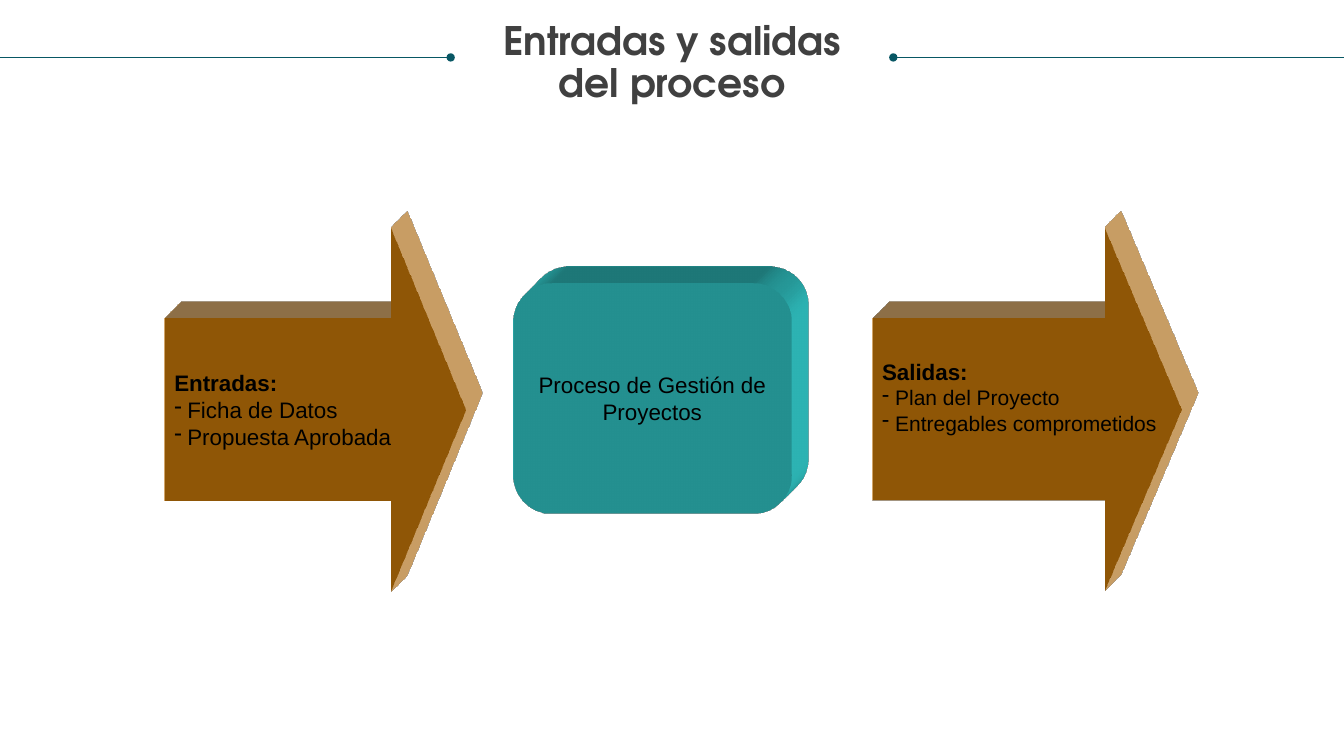
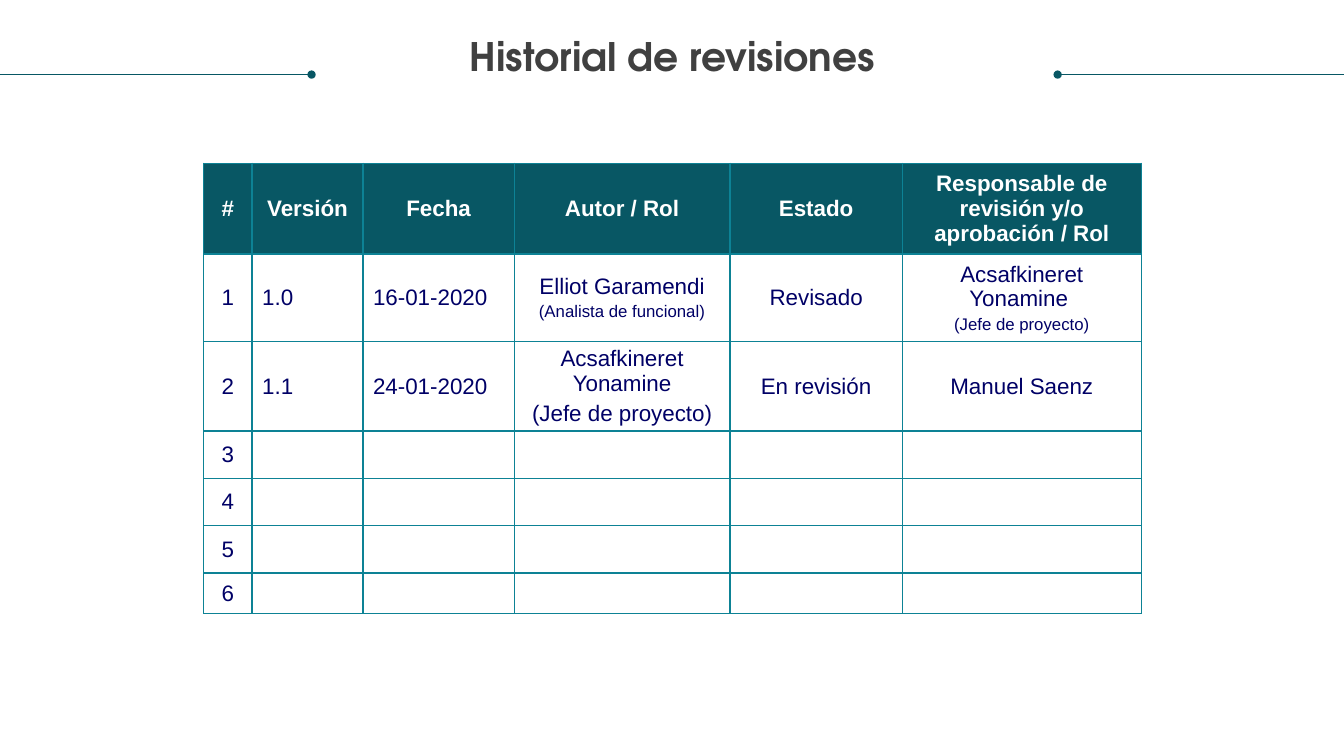
from lxml import etree
from pptx import Presentation
from pptx import util as u
from pptx.dml import color
from pptx.enum import shapes, text
from pptx.oxml import ns, parse_xml

TEAL, GREY, BLACK, WHITE, NAVY = "085764", "404040", "000000", "FFFFFF", "000066"
BORDER, BROWN, SAND, AQUA = "0D8295", "CB7A09", "F0BD78", "33CCCC"
BODY_FONT, TITLE_FONT = "Arial", "TeX Gyre Adventor"
CENTER, LEFT = text.PP_ALIGN.CENTER, text.PP_ALIGN.LEFT
SLIDE_WIDTH = 13.33

COLUMN_WIDTHS = [0.48, 1.1, 1.5, 2.14, 1.71, 2.37]
ROW_HEIGHTS = [0.9, 0.87, 0.88, 0.47, 0.47, 0.47, 0.39]
HEADINGS = ["#", "Versión", "Fecha", "Autor / Rol", "Estado",
            "Responsable de revisión y/o aprobación / Rol"]
# Each line of a cell is a (text, size) pair or plain text at 16 points.
REVISIONS = [
    ["1", "1.0", "16-01-2020",
     ["Elliot Garamendi", ("(Analista de funcional)", 12)], "Revisado",
     ["Acsafkineret Yonamine ", ("(Jefe de proyecto)", 12)]],
    ["2", "1.1", "24-01-2020",
     ["Acsafkineret Yonamine", "(Jefe de proyecto)"], "En revisión",
     "Manuel Saenz"],
    ["3"], ["4"], ["5"], ["6"],
]
LEFT_COLUMNS = (1, 2)


def rgb(value):
    """Turn a hex string into a colour."""
    return color.RGBColor.from_string(value)


def child(parent, tag, **attributes):
    """Append a DrawingML element to a parent."""
    return etree.SubElement(parent, ns.qn(tag), attributes)


def add_run(paragraph, words, size, shade, bold=False, font=BODY_FONT):
    """Add one formatted run."""
    run = paragraph.add_run()
    run.text = words
    run.font.size = u.Pt(size)
    run.font.name = font
    run.font.bold = bold
    run.font.color.rgb = rgb(shade)


def paragraph_at(frame, index):
    """Return the first paragraph, or add a further one."""
    return frame.add_paragraph() if index else frame.paragraphs[0]


def add_title(slide, lines, top, height):
    """Place and format the title placeholder."""
    title = slide.shapes.title
    title.left, title.top = u.Inches(0.25), u.Inches(top)
    title.width, title.height = u.Inches(12.83), u.Inches(height)
    frame = title.text_frame
    frame.auto_size = text.MSO_AUTO_SIZE.NONE
    frame.word_wrap = True
    frame.vertical_anchor = text.MSO_ANCHOR.TOP
    frame.margin_left = frame.margin_right = 0
    frame.margin_top = frame.margin_bottom = 0
    for index, line in enumerate(lines):
        paragraph = paragraph_at(frame, index)
        paragraph.alignment = CENTER
        paragraph.line_spacing = 0.9
        add_run(paragraph, line, 28, GREY, True, TITLE_FONT)


def add_rule(slide, edge, dot, top):
    """Draw a line from the slide edge to a round dot."""
    rule = slide.shapes.add_connector(
        shapes.MSO_CONNECTOR.STRAIGHT,
        u.Inches(edge), u.Inches(top), u.Inches(dot), u.Inches(top))
    rule.line.color.rgb = rgb(TEAL)
    rule.line.width = u.Pt(0.5)
    child(rule.line._get_or_add_ln(), "a:tailEnd", type="oval")
    child(rule._element.spPr, "a:effectLst")


def add_slide(presentation, lines, title_top, title_height, rule_top, dots):
    """Add a slide with its title and the two rules beside it."""
    slide = presentation.slides.add_slide(presentation.slide_layouts[5])
    add_title(slide, lines, title_top, title_height)
    for edge, dot in zip((0, SLIDE_WIDTH), dots):
        add_rule(slide, edge, dot, rule_top)
    return slide


def extrude(shape, side):
    """Give a shape an oblique depth towards the top right."""
    properties = shape._element.spPr
    properties.append(parse_xml(
        f'<a:scene3d {ns.nsdecls("a")}>'
        '<a:camera prst="legacyObliqueTopRight"/>'
        '<a:lightRig rig="legacyFlat3" dir="b"/></a:scene3d>'))
    properties.append(parse_xml(
        f'<a:sp3d {ns.nsdecls("a")} extrusionH="430200" prstMaterial="legacyMatte">'
        '<a:bevelT w="13500" h="13500" prst="angle"/>'
        '<a:bevelB w="13500" h="13500" prst="angle"/>'
        f'<a:extrusionClr><a:srgbClr val="{side}"/></a:extrusionClr></a:sp3d>'))


def add_block(slide, kind, box, adjustments, fill, side):
    """Add a filled shape with depth and middle-anchored text."""
    shape = slide.shapes.add_shape(kind, *(u.Inches(length) for length in box))
    for index, value in enumerate(adjustments):
        shape.adjustments[index] = value
    shape.shadow.inherit = False
    shape.fill.solid()
    shape.fill.fore_color.rgb = rgb(fill)
    shape.line.fill.background()
    extrude(shape, side)
    shape.text_frame.word_wrap = True
    shape.text_frame.vertical_anchor = text.MSO_ANCHOR.MIDDLE
    return shape


def add_arrow(slide, left, width, heading, items, item_size, bottom_margin):
    """Add an arrow with a bold heading and a dashed list."""
    arrow = add_block(slide, shapes.MSO_SHAPE.RIGHT_ARROW,
                      (left, 2.25, width, 3.62), (0.5, 0.25), BROWN, SAND)
    arrow.line.color.rgb = rgb(BROWN)
    arrow.line.width = u.Pt(0.75)
    frame = arrow.text_frame
    frame.word_wrap = False
    frame.margin_bottom = u.Inches(bottom_margin)
    frame.paragraphs[0].alignment = LEFT
    add_run(frame.paragraphs[0], heading, 16, BLACK, True)
    for item in items:
        paragraph = frame.add_paragraph()
        paragraph.alignment = LEFT
        properties = paragraph._p.get_or_add_pPr()
        indent = u.Inches(0.13)
        properties.set("marL", str(indent))
        properties.set("indent", str(-indent))
        child(properties, "a:buChar", char="-")
        add_run(paragraph, item, item_size, BLACK)


def add_process(slide, words):
    """Add the central process block."""
    block = add_block(slide, shapes.MSO_SHAPE.ROUNDED_RECTANGLE,
                      (5.09, 2.81, 2.76, 2.28), (0.167,), AQUA, AQUA)
    paragraph = block.text_frame.paragraphs[0]
    paragraph.alignment = CENTER
    add_run(paragraph, words, 16, BLACK)


def style_cell(cell, fill):
    """Set the borders, fill and anchor of a cell."""
    properties = cell._tc.get_or_add_tcPr()
    for tag in ("a:lnL", "a:lnR", "a:lnT", "a:lnB"):
        border = child(properties, tag, w=str(u.Pt(1)))
        child(child(border, "a:solidFill"), "a:srgbClr", val=BORDER)
    if fill:
        cell.fill.solid()
        cell.fill.fore_color.rgb = rgb(fill)
    else:
        cell.fill.background()
    cell.vertical_anchor = text.MSO_ANCHOR.MIDDLE


def fill_cell(cell, content, alignment, shade, bold):
    """Write one or more lines into a cell."""
    lines = content if isinstance(content, list) else [content]
    for index, line in enumerate(lines):
        words, size = line if isinstance(line, tuple) else (line, 16)
        paragraph = paragraph_at(cell.text_frame, index)
        paragraph.alignment = alignment
        if index:
            paragraph.space_before = u.Pt(0.2 * size)
        add_run(paragraph, words, size, shade, bold)


def add_revision_table(slide):
    """Add the table of revisions."""
    table = slide.shapes.add_table(
        len(ROW_HEIGHTS), len(COLUMN_WIDTHS), u.Inches(2.02), u.Inches(1.62),
        u.Inches(sum(COLUMN_WIDTHS)), u.Inches(sum(ROW_HEIGHTS))).table
    table.first_row = table.horz_banding = False
    for column, width in zip(table.columns, COLUMN_WIDTHS):
        column.width = u.Inches(width)
    for row, height in zip(table.rows, ROW_HEIGHTS):
        row.height = u.Inches(height)
    for row_index, contents in enumerate([HEADINGS] + REVISIONS):
        header = row_index == 0
        for cell in table.rows[row_index].cells:
            style_cell(cell, TEAL if header else None)
        for column_index, content in enumerate(contents):
            left = column_index in LEFT_COLUMNS and not header
            fill_cell(table.cell(row_index, column_index), content,
                      LEFT if left else CENTER, WHITE if header else NAVY, header)


def main():
    """Build and save both slides."""
    presentation = Presentation()
    presentation.slide_width = u.Inches(SLIDE_WIDTH)
    presentation.slide_height = u.Inches(7.5)

    process = add_slide(presentation, ["Entradas y salidas", "del proceso"],
                        0.21, 0.85, 0.57, (4.47, 8.86))
    add_arrow(process, 1.63, 2.99, "Entradas:",
              ["Ficha de Datos", "Propuesta Aprobada"], 16, 0.05)
    add_process(process, "Proceso de Gestión de Proyectos")
    add_arrow(process, 8.65, 3.07, "Salidas:",
              ["Plan del Proyecto", "Entregables comprometidos"], 15, 0.3)

    history = add_slide(presentation, ["Historial de revisiones"],
                        0.37, 0.42, 0.74, (3.09, 10.49))
    add_revision_table(history)
    presentation.save("out.pptx")


main()
